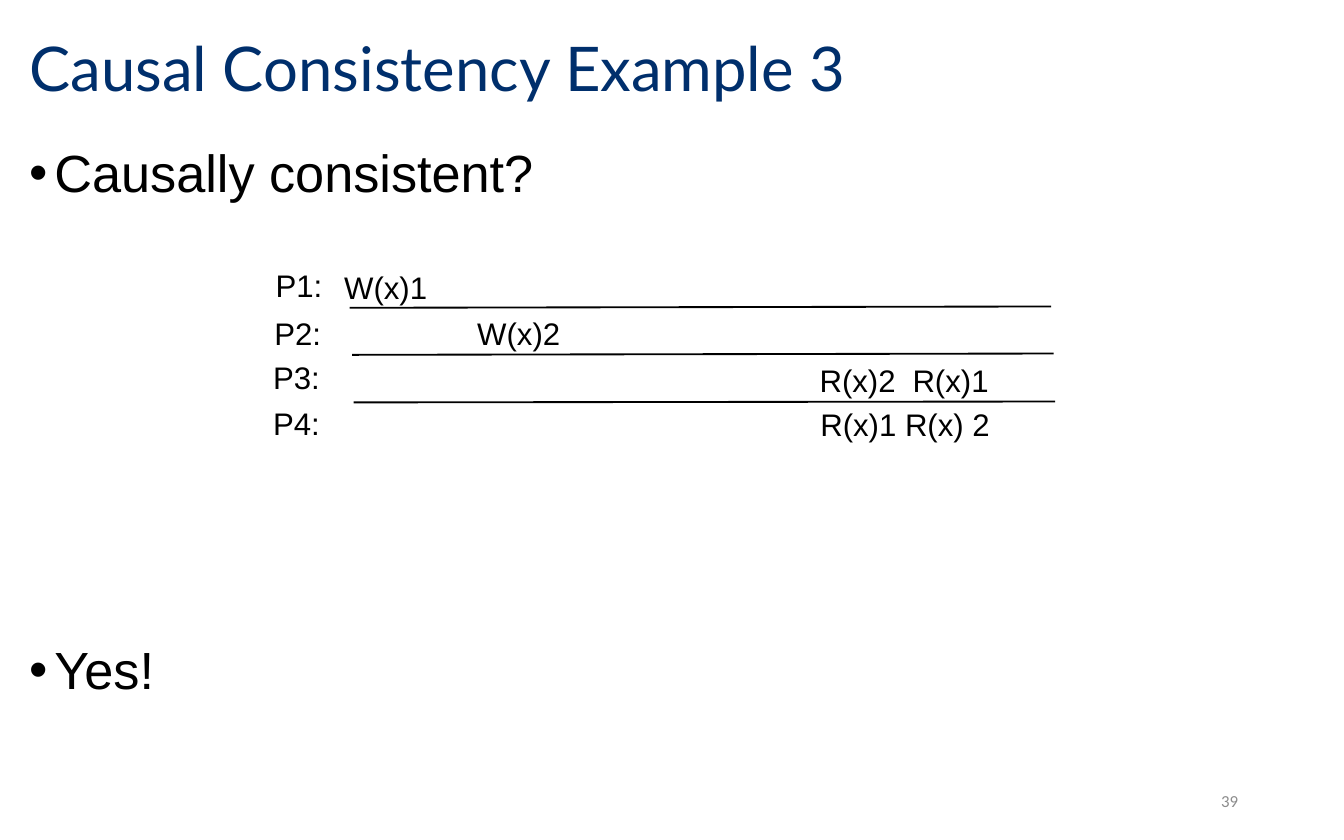
from pptx import Presentation
from pptx.dml.color import RGBColor
from pptx.enum.shapes import MSO_CONNECTOR
from pptx.enum.text import MSO_ANCHOR, PP_ALIGN
from pptx.util import Pt
from lxml import etree

LEFT, CENTER, RIGHT = PP_ALIGN.LEFT, PP_ALIGN.CENTER, PP_ALIGN.RIGHT
TOP, MIDDLE = MSO_ANCHOR.TOP, MSO_ANCHOR.MIDDLE
STRAIGHT = MSO_CONNECTOR.STRAIGHT
NS = "{http://schemas.openxmlformats.org/drawingml/2006/main}"
COLORS = {"title": "002F6C", "ink": "000000", "number": "8C8C8C"}

# Content
TITLE = "Causal Consistency Example 3"
BULLETS = ["Causally consistent?", "Yes!"]
SLIDE_NUMBER = "39"
# process, label left and top; operations, their left, top, width and alignment
PROCESSES = [
    ("P1:", 140.4, 139, "W(x)1", 177.1, 140.4, 59, CENTER),
    ("P2:", 139.7, 164.9, "W(x)2", 248.4, 164.9, 59, CENTER),
    ("P3:", 139, 188.6, "R(x)2\tR(x)1", 432, 190.1, 105.8, LEFT),
    ("P4:", 139, 213.1, "R(x)1 R(x) 2", 432, 213.8, 105.8, CENTER),
]
# left, start height and end height of each timeline
TIMELINES = [(187.3, 164.9, 164.2), (188.7, 190.1, 189.4), (189.4, 215.6, 215.1)]

# Sizes
LABEL_WIDTH, LABEL_HEIGHT, LABEL_SIZE = 39.6, 27.4, 16.7
TIMELINE_LENGTH = 375.8
READ_TAB = 49.8
BULLET_INDENT = 13.5
ANSWER_GAP = 235.6


def write(frame, texts, size, font="Arial", color="ink", align=LEFT,
          anchor=TOP, wrap=True, bullet=False, gap=0, spacing=None, tab=None):
    frame.word_wrap = wrap
    frame.vertical_anchor = anchor
    for i, text in enumerate(texts):
        paragraph = frame.paragraphs[0] if i == 0 else frame.add_paragraph()
        paragraph.text = text
        paragraph.alignment = align
        if spacing:
            paragraph.line_spacing = spacing
        if i:
            paragraph.space_before = Pt(gap)
        properties = paragraph._p.get_or_add_pPr()
        if bullet:
            properties.set("marL", str(Pt(BULLET_INDENT)))
            properties.set("indent", str(-Pt(BULLET_INDENT)))
            etree.SubElement(properties, NS + "buFont", typeface="Arial")
            etree.SubElement(properties, NS + "buChar", char="•")
        if tab:
            stops = etree.SubElement(properties, NS + "tabLst")
            etree.SubElement(stops, NS + "tab", pos=str(Pt(tab)), algn="l")
        for run in paragraph.runs:
            run.font.name = font
            run.font.size = Pt(size)
            run.font.color.rgb = RGBColor.from_string(COLORS[color])


def add_text(slide, texts, left, top, width, height, **style):
    box = slide.shapes.add_textbox(Pt(left), Pt(top), Pt(width), Pt(height))
    write(box.text_frame, texts, **style)


def main():
    deck = Presentation()
    deck.slide_width, deck.slide_height = Pt(720), Pt(450)
    slide = deck.slides.add_slide(deck.slide_layouts[5])

    # Title
    title = slide.shapes.title
    title.left, title.top, title.width, title.height = Pt(8.6), Pt(7.2), Pt(613.4), Pt(61.9)
    write(title.text_frame, [TITLE], size=33, font="Lato", color="title",
          anchor=MIDDLE, spacing=0.9)

    # Question and answer
    add_text(slide, BULLETS, 8.6, 75.6, 703.4, 329.8, size=28, bullet=True,
             gap=ANSWER_GAP, spacing=0.9)

    # Slide number
    add_text(slide, [SLIDE_NUMBER], 508.3, 416.9, 162, 23.8, size=9,
             font="Calibri", color="number", align=RIGHT, anchor=MIDDLE)

    # Timelines between the processes
    for left, start, end in TIMELINES:
        timeline = slide.shapes.add_connector(
            STRAIGHT, Pt(left), Pt(start), Pt(left + TIMELINE_LENGTH), Pt(end))
        timeline.line.color.rgb = RGBColor.from_string(COLORS["ink"])
        timeline.line.width = Pt(1)
        etree.SubElement(timeline._element.spPr, NS + "effectLst")

    # Processes and their operations
    for process, left, top, operations, op_left, op_top, op_width, align in PROCESSES:
        add_text(slide, [process], left, top, LABEL_WIDTH, LABEL_HEIGHT,
                 size=LABEL_SIZE, align=CENTER, wrap=False)
        add_text(slide, [operations], op_left, op_top, op_width, LABEL_HEIGHT,
                 size=LABEL_SIZE, align=align, wrap=False,
                 tab=READ_TAB if "\t" in operations else None)

    deck.save("out.pptx")


if __name__ == "__main__":
    main()
